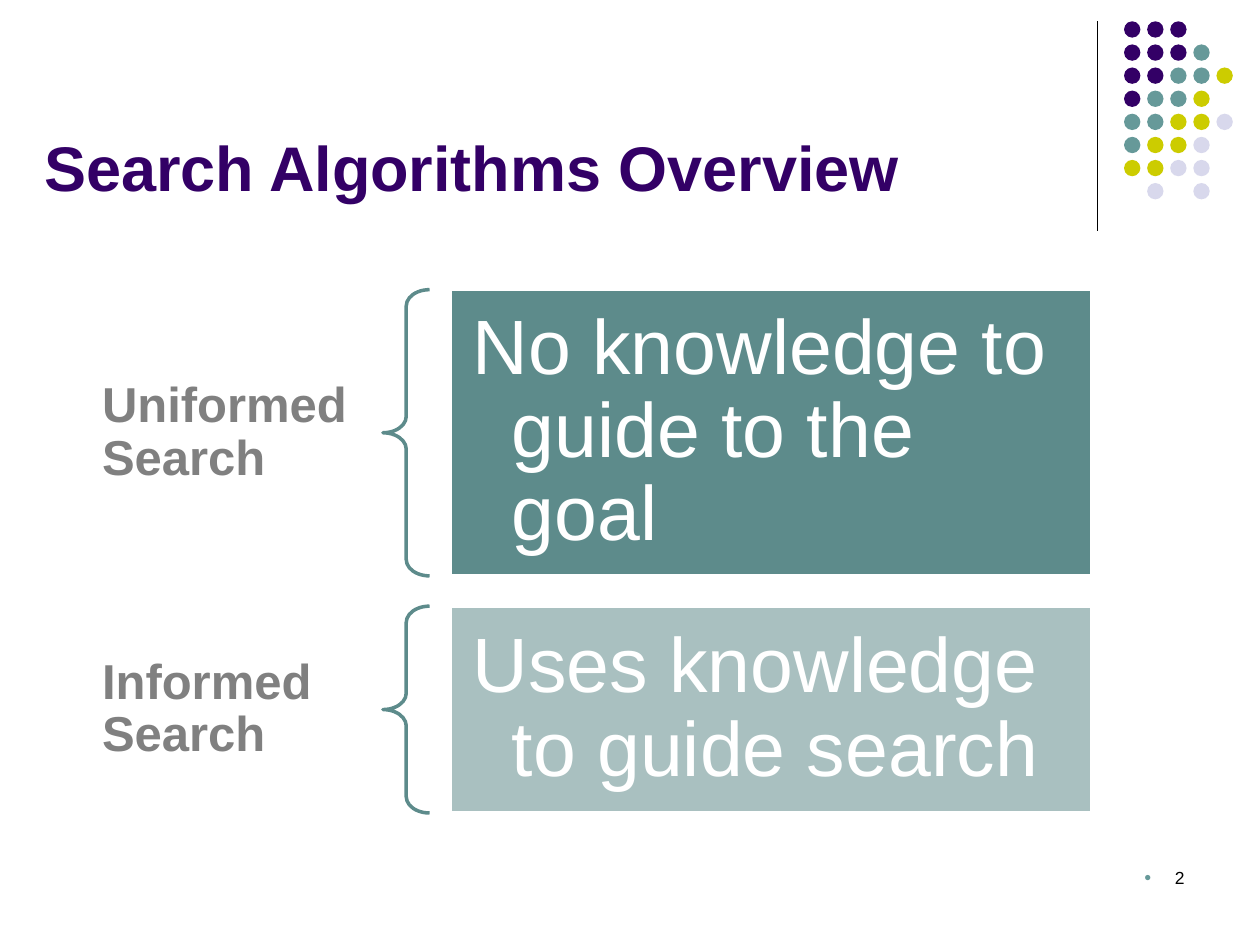
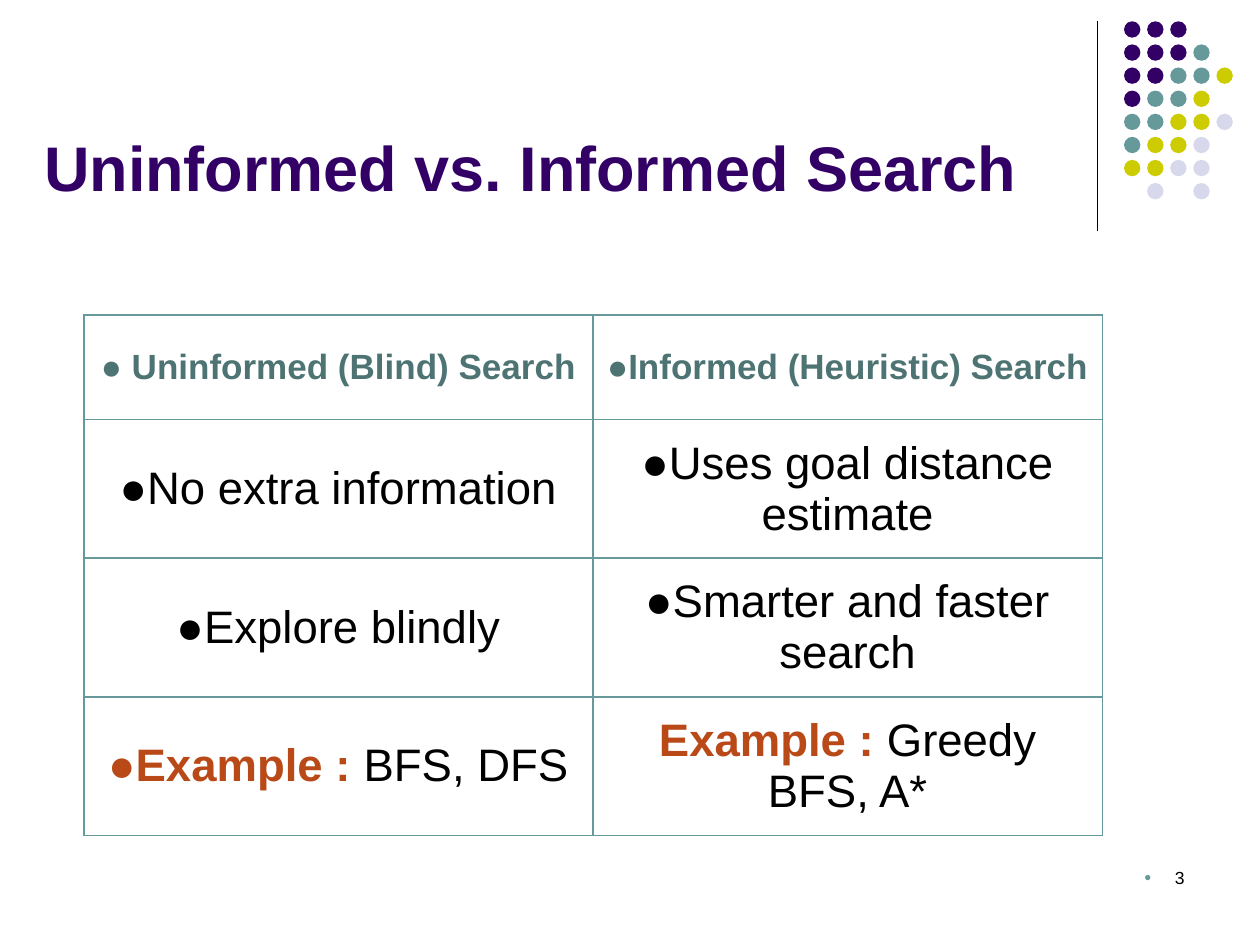
from lxml.etree import SubElement
from pptx import Presentation
from pptx.dml.color import RGBColor
from pptx.enum.shapes import MSO_CONNECTOR, MSO_SHAPE
from pptx.enum.text import MSO_ANCHOR as Anchor, PP_ALIGN as Align
from pptx.oxml import parse_xml
from pptx.oxml.ns import nsdecls, qn
from pptx.util import Cm, Pt

FONT = "Arial"
PURPLE, TEAL, LIME, LILAC = "330066", "669999", "CCCC00", "D8D8EC"
BLACK, WHITE, GRAY = "000000", "FFFFFF", "808080"
DEEP_TEAL, PALE_TEAL = "5D8B8B", "A9C0C0"
HEADER_TEAL, RUST = "4D7373", "B94917"

DOT_COLORS = {"P": PURPLE, "T": TEAL, "Y": LIME, "L": LILAC}
DOT_ROWS = ["PPP", "PPPT", "PPTTY", "PTTY", "TTYYL", "TYYL", "YYLL", " L L"]

TITLE_STYLE = {"size": Pt(36), "bold": True, "color": PURPLE}
LABEL_STYLE = {"size": Pt(28), "bold": True, "color": GRAY}
PANEL_STYLE = {"size": Pt(44), "bold": False, "color": WHITE}
NUMBER_STYLE = {"size": Pt(10), "bold": False, "color": BLACK}
HEADER_STYLE = {"size": Pt(20), "bold": True, "color": HEADER_TEAL}
BODY_STYLE = {"size": Pt(26), "bold": False, "color": BLACK}
EXAMPLE_STYLE = {"size": Pt(26), "bold": True, "color": RUST}

SEARCH_KINDS = [
    ("Uniformed Search", "No knowledge to guide to the goal", DEEP_TEAL, 5.77),
    ("Informed Search", "Uses knowledge to guide search", PALE_TEAL, 4.17),
]
COMPARISON = [
    ([(" Uninformed (Blind) Search", HEADER_STYLE)],
     [("Informed (Heuristic) Search", HEADER_STYLE)]),
    ([("No extra information", BODY_STYLE)],
     [("Uses goal distance estimate", BODY_STYLE)]),
    ([("Explore blindly", BODY_STYLE)],
     [("Smarter and faster search", BODY_STYLE)]),
    ([("Example : ", EXAMPLE_STYLE), ("BFS, DFS", BODY_STYLE)],
     [("Example : ", EXAMPLE_STYLE), ("Greedy BFS, A*", BODY_STYLE)]),
]


def rgb(value):
    """Turn a hex string into a colour."""
    return RGBColor.from_string(value)


def set_attributes(target, values):
    """Set each attribute of the target from a dict."""
    for name, value in values.items():
        setattr(target, name, value)


def add_span(para, text, style):
    """Add one formatted run to a paragraph."""
    span = para.add_run()
    span.text = text
    values = {key: value for key, value in style.items() if key != "color"}
    set_attributes(span.font, {"name": FONT, **values})
    span.font.color.rgb = rgb(style["color"])


def add_bullet(para, indent=0, color=None, percent=100):
    """Give a paragraph a round bullet."""
    props = para._p.get_or_add_pPr()
    props.set("marL", str(indent))
    props.set("indent", str(-indent))
    if color:
        SubElement(SubElement(props, qn("a:buClr")), qn("a:srgbClr"), val=color)
    SubElement(props, qn("a:buSzPct"), val=str(percent * 1000))
    SubElement(props, qn("a:buFont"), typeface=FONT)
    SubElement(props, qn("a:buChar"), char="●")


def add_text(page, box, text, style, **frame_values):
    """Add a wrapping one-paragraph text box and return its paragraph."""
    frame = page.shapes.add_textbox(*box).text_frame
    set_attributes(frame, {"word_wrap": True, **frame_values})
    para = frame.paragraphs[0]
    add_span(para, text, style)
    return para


def add_figure(page, kind, box, fill=None, line=None):
    """Add a flat preset shape with an optional fill and 2 pt line."""
    shape = page.shapes.add_shape(kind, *box)
    shape.shadow.inherit = False
    if fill:
        shape.fill.solid()
        shape.fill.fore_color.rgb = rgb(fill)
    else:
        shape.fill.background()
    if line:
        shape.line.color.rgb = rgb(line)
        shape.line.width = Pt(2)
    else:
        shape.line.fill.background()
    return shape


def add_corner(page, left, top):
    """Draw the vertical rule and the dot pattern beside it."""
    rule = page.shapes.add_connector(
        MSO_CONNECTOR.STRAIGHT, left, top, left, top + Cm(4.22))
    rule.line.color.rgb = rgb(BLACK)
    rule.line.width = Pt(0.75)
    SubElement(rule._element.spPr, qn("a:effectLst"))
    pitch, size = Cm(3.26) // 7, Cm(0.33)
    for row, codes in enumerate(DOT_ROWS):
        for column, code in enumerate(codes):
            if code in DOT_COLORS:
                box = (left + Cm(0.54) + column * pitch, top + row * pitch, size, size)
                add_figure(page, MSO_SHAPE.OVAL, box, DOT_COLORS[code])


def add_page(deck, title, number):
    """Add a page with its corner pattern, title and page number."""
    page = deck.slides.add_slide(deck.slide_layouts[6])
    add_corner(page, Cm(22.12), Cm(0.43))
    title_box = (Cm(0.64), Cm(0.64), Cm(21.39), Cm(3.61))
    add_text(page, title_box, title, TITLE_STYLE, vertical_anchor=Anchor.BOTTOM)
    number_box = (Cm(18.21), Cm(17.35), Cm(5.92), Cm(1.27))
    para = add_text(page, number_box, str(number), NUMBER_STYLE)
    para.alignment = Align.RIGHT
    add_bullet(para, Cm(0.62), TEAL, 70)
    return page


def add_search_kind(page, box, label, description, fill):
    """Draw a label, a brace and a filled panel across the given box."""
    left, top, width, height = box
    label_para = add_text(
        page, (left, top, Cm(6.22), height), label, LABEL_STYLE,
        vertical_anchor=Anchor.MIDDLE, margin_left=Cm(0.56), margin_right=Cm(0.56))
    label_para.line_spacing = 0.9

    brace_box = (left + Cm(6.22), top, Cm(0.94), height)
    brace = add_figure(page, MSO_SHAPE.LEFT_BRACE, brace_box, line=DEEP_TEAL)
    brace.adjustments[0] = 0.35

    panel_left = Cm(7.57)
    panel_box = (left + panel_left, top, width - panel_left, height)
    panel = add_figure(page, MSO_SHAPE.RECTANGLE, panel_box, fill, WHITE)
    frame = panel.text_frame
    sides = ("left", "top", "right", "bottom")
    set_attributes(frame, {f"margin_{side}": Cm(0.46) for side in sides})
    set_attributes(frame, {"word_wrap": True, "vertical_anchor": Anchor.MIDDLE})
    para = frame.paragraphs[0]
    set_attributes(para, {"alignment": Align.LEFT, "line_spacing": 0.9})
    props = para._p.get_or_add_pPr()
    props.set("marL", str(Cm(0.79)))
    props.set("indent", str(-Cm(0.79)))
    add_span(para, description, PANEL_STYLE)


def add_borders(cell):
    """Draw a thin teal line on all four sides of a cell."""
    props = cell._tc.get_or_add_tcPr()
    for position, side in enumerate("LRTB"):
        props.insert(position, parse_xml(
            f'<a:ln{side} {nsdecls("a")} w="{Pt(1)}"><a:solidFill>'
            f'<a:srgbClr val="{TEAL}"/></a:solidFill></a:ln{side}>'))


def add_comparison(page, box):
    """Fill the given box with the two-column comparison table."""
    left, top, width, height = box
    table = page.shapes.add_table(len(COMPARISON), 2, *box).table
    set_attributes(table, {"first_row": False, "horz_banding": False})
    header_height = Cm(2.11)
    body_height = (height - header_height) // (len(COMPARISON) - 1)
    for column in table.columns:
        column.width = width // 2
    for row, contents in enumerate(COMPARISON):
        table.rows[row].height = body_height if row else header_height
        for column, spans in enumerate(contents):
            cell = table.cell(row, column)
            cell.fill.background()
            cell.vertical_anchor = Anchor.MIDDLE
            add_borders(cell)
            para = cell.text_frame.paragraphs[0]
            para.alignment = Align.CENTER
            if (row, column) != (len(COMPARISON) - 1, 1):
                add_bullet(para)
            for text, style in spans:
                add_span(para, text, style)


def build_overview(deck):
    """Build the page that stacks the two kinds of search."""
    page = add_page(deck, "Search Algorithms Overview", 2)
    top = Cm(5.84)
    for label, description, fill, height in SEARCH_KINDS:
        box = (Cm(1.5), top, Cm(20.52), Cm(height))
        add_search_kind(page, box, label, description, fill)
        top += Cm(height) + Cm(0.61)


def build_comparison(deck):
    """Build the page that compares the two kinds of search."""
    page = add_page(deck, "Uninformed vs. Informed Search", 3)
    add_comparison(page, (Cm(1.69), Cm(6.35), Cm(20.53), Cm(10.49)))


def main():
    """Build and save the deck."""
    deck = Presentation()
    set_attributes(deck, {"slide_width": Cm(25.4), "slide_height": Cm(19.05)})
    build_overview(deck)
    build_comparison(deck)
    deck.save("out.pptx")


if __name__ == "__main__":
    main()
